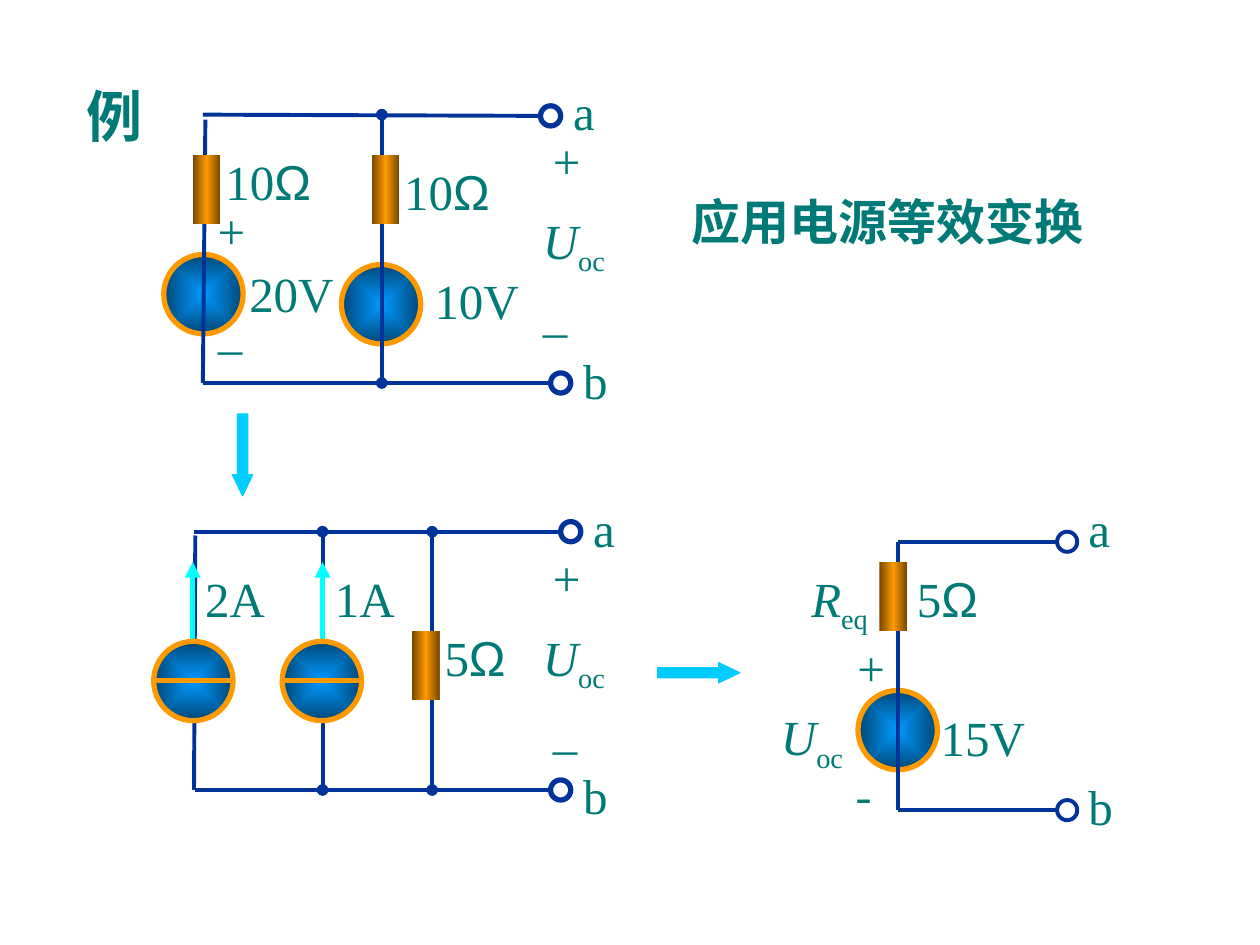
from pptx import Presentation, util as u
from pptx.dml.color import RGBColor
from pptx.enum import shapes, text
from pptx.oxml import parse_xml
from pptx.oxml.ns import nsdecls, qn
from lxml import etree

PX = 9144  # 100 px to the inch
TEAL = RGBColor(0x00, 0x7A, 0x77)
NAVY = RGBColor(0x00, 0x33, 0x99)
ORANGE = RGBColor(0xFF, 0x99, 0x00)
SKY = RGBColor(0x00, 0xCC, 0xFF)
CYAN = RGBColor(0x00, 0xFF, 0xFF)
BLUE = RGBColor(0x00, 0x99, 0xFF)
DEEP = RGBColor(0x00, 0x47, 0x76)
BROWN = RGBColor(0x76, 0x47, 0x00)
ROMAN, ARIAL, HAN = "Times New Roman", "Arial", "Noto Sans CJK SC"
OVAL, RECT = shapes.MSO_SHAPE.OVAL, shapes.MSO_SHAPE.RECTANGLE
ARROW = shapes.MSO_SHAPE.RIGHT_ARROW
LEFT, MID = text.PP_ALIGN.LEFT, text.PP_ALIGN.CENTER

# Gradients: stops and direction
BALL = ([(0, BLUE), (100, DEEP)],
        '<a:path path="rect"><a:fillToRect l="50000" t="50000" r="50000" b="50000"/></a:path>')
TUBE = ([(0, BROWN), (50, ORANGE), (100, BROWN)], '<a:lin ang="0" scaled="0"/>')

prs = Presentation()
prs.slide_width, prs.slide_height = 1000 * PX, 750 * PX
slide = prs.slides.add_slide(prs.slide_layouts[6])


def shape(kind, x, y, w, h, fill=None, line=None, width=0):
    part = slide.shapes.add_shape(kind, *(n * PX for n in (x, y, w, h)))
    part.shadow.inherit = False
    if fill is None:
        part.fill.background()
    elif isinstance(fill, RGBColor):
        part.fill.solid()
        part.fill.fore_color.rgb = fill
    else:
        stops = "".join(f'<a:gs pos="{at * 1000}"><a:srgbClr val="{tone}"/></a:gs>'
                        for at, tone in fill[0])
        part._element.spPr.insert(2, parse_xml(
            f'<a:gradFill {nsdecls("a")}><a:gsLst>{stops}</a:gsLst>{fill[1]}</a:gradFill>'))
    if line is None:
        part.line.fill.background()
    else:
        part.line.color.rgb = line
        part.line.width = u.Pt(width)
    return part


def wire(x1, y1, x2, y2, tone=NAVY, width=2.25, head=None, tail=None):
    part = slide.shapes.add_connector(shapes.MSO_CONNECTOR.STRAIGHT,
                                      *(n * PX for n in (x1, y1, x2, y2)))
    part.line.color.rgb = tone
    part.line.width = u.Pt(width)
    for tag, end in (("a:headEnd", head), ("a:tailEnd", tail)):
        if end:
            etree.SubElement(part.line._ln, qn(tag), type=end)
    etree.SubElement(part._element.spPr, qn("a:effectLst"))


# Voltage sources, behind the wires
for x, y in ((130, 202), (271, 210), (681, 548)):
    shape(OVAL, x, y, 63, 63, BALL, ORANGE, 3)

# Plain wires: two-source circuit, current-source circuit, final circuit
for ends in ((161, 304, 437, 304), (161, 304, 163, 95), (161, 91, 429, 92),
             (155, 627, 437, 627), (154, 627, 155, 425), (154, 422, 445, 422),
             (713, 643, 839, 643), (713, 430, 713, 643), (713, 430, 839, 430)):
    wire(*ends)

# Branches with a node dot at each end
for x, top, foot in ((303, 91, 304), (343, 422, 627), (256, 422, 627)):
    wire(x, top, x, foot, head="oval", tail="oval")

# Current sources
for x, mid in ((122, 153), (224, 256)):
    wire(mid, 509, mid, 446, CYAN, 3, tail="triangle")
    shape(OVAL, x, 509, 63, 63, BALL, ORANGE, 3)
    wire(x, 540, x + 63, 540, ORANGE, 3)

# Resistors
for x, y in ((295, 123), (153, 123), (327, 501), (698, 446)):
    shape(RECT, x, y, 22, 55, TUBE)

# Terminals
for x, y, width in ((437, 296, 3), (429, 84, 3), (437, 619, 3), (445, 414, 3),
                    (839, 635, 2.25), (839, 422, 2.25)):
    shape(OVAL, x, y, 16, 16, None, NAVY, width)

# Step arrows
for x, y, turn in ((160, 353, 90), (522, 526, 0)):
    step = shape(ARROW, x, y, 65, 16, SKY, SKY, 0.75)
    step.rotation = turn
    step.adjustments[0], step.adjustments[1] = 0.5, 1.04

# Labels: "_" starts a subscript after an italic symbol
PLAIN = {"size": u.Pt(28), "bold": False, "name": ROMAN}
DASH = {**PLAIN, "name": HAN}
TITLE = {**DASH, "bold": True}
HEAD = {**TITLE, "size": u.Pt(32)}
labels = [
    (59, 60, 79, 64, "例", LEFT, HEAD),
    (539, 147, 358, 57, "应用电源等效变换", LEFT, TITLE),
    (697, 446, 110, 57, "5Ω", MID, PLAIN),
    (736, 556, 88, 57, "15V", MID, PLAIN),
    (665, 501, 53, 57, "+", MID, PLAIN),
    (669, 603, 32, 57, "-", MID, DASH),
]
labels += [(*spot, LEFT, PLAIN) for spot in (
    (169, 115, 95, 57, "10Ω"), (311, 123, 90, 57, "10Ω"),
    (163, 154, 33, 57, "+"), (163, 246, 42, 57, "–"),
    (188, 204, 92, 57, "20V"), (335, 210, 92, 57, "10V"),
    (429, 99, 33, 57, "+"), (421, 233, 42, 57, "–"),
    (421, 162, 87, 63, "U_oc"),
    (445, 60, 50, 57, "a"), (453, 273, 33, 57, "b"),
    (256, 446, 87, 57, "1A"), (153, 446, 68, 57, "2A"),
    (343, 493, 90, 57, "5Ω"),
    (429, 430, 33, 57, "+"), (429, 564, 42, 57, "–"),
    (421, 493, 87, 63, "U_oc"),
    (461, 391, 50, 57, "a"), (453, 603, 33, 57, "b"),
    (854, 391, 78, 57, "a"), (854, 611, 56, 57, "b"),
    (634, 446, 78, 63, "R_eq"), (610, 556, 100, 63, "U_oc"))]

for x, y, w, h, words, align, form in labels:
    frame = slide.shapes.add_textbox(x * PX, y * PX, w * PX, h * PX).text_frame
    frame.word_wrap = words != "-"
    frame.auto_size = text.MSO_AUTO_SIZE.SHAPE_TO_FIT_TEXT
    if align == MID:
        frame.vertical_anchor = text.MSO_ANCHOR.MIDDLE
    para = frame.paragraphs[0]
    para.alignment = align
    base, _, sub = words.partition("_")
    ohm = "Ω" if base.endswith("Ω") else ""
    for part, extra in ((base.removesuffix("Ω"), {"italic": bool(sub)}),
                        (ohm, {"name": ARIAL}), (sub, {})):
        if not part:
            continue
        run = para.add_run()
        run.text = part
        for key, value in {**form, **extra}.items():
            setattr(run.font, key, value)
        run.font.color.rgb = TEAL
        props = run.font._element
        etree.SubElement(props, qn("a:ea"), typeface=run.font.name)
        if part == sub:
            props.set("baseline", "-25000")

prs.save("out.pptx")
